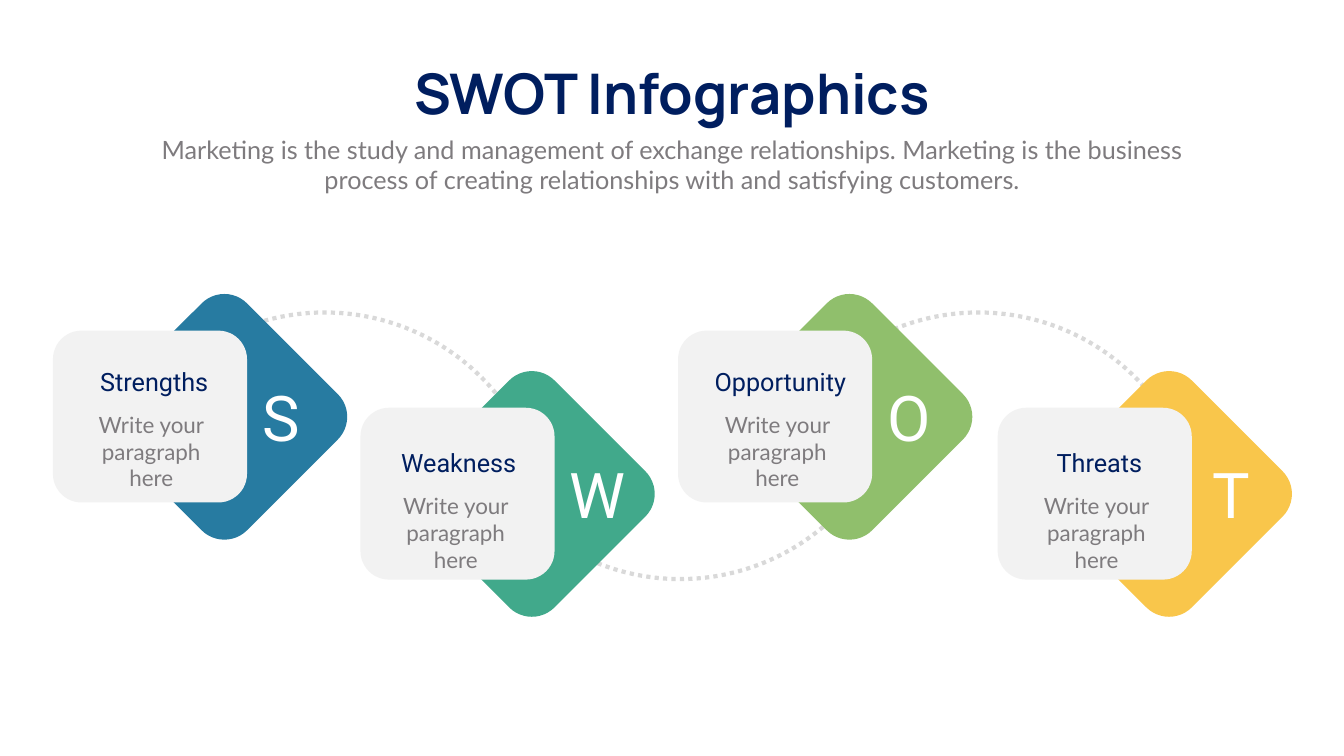
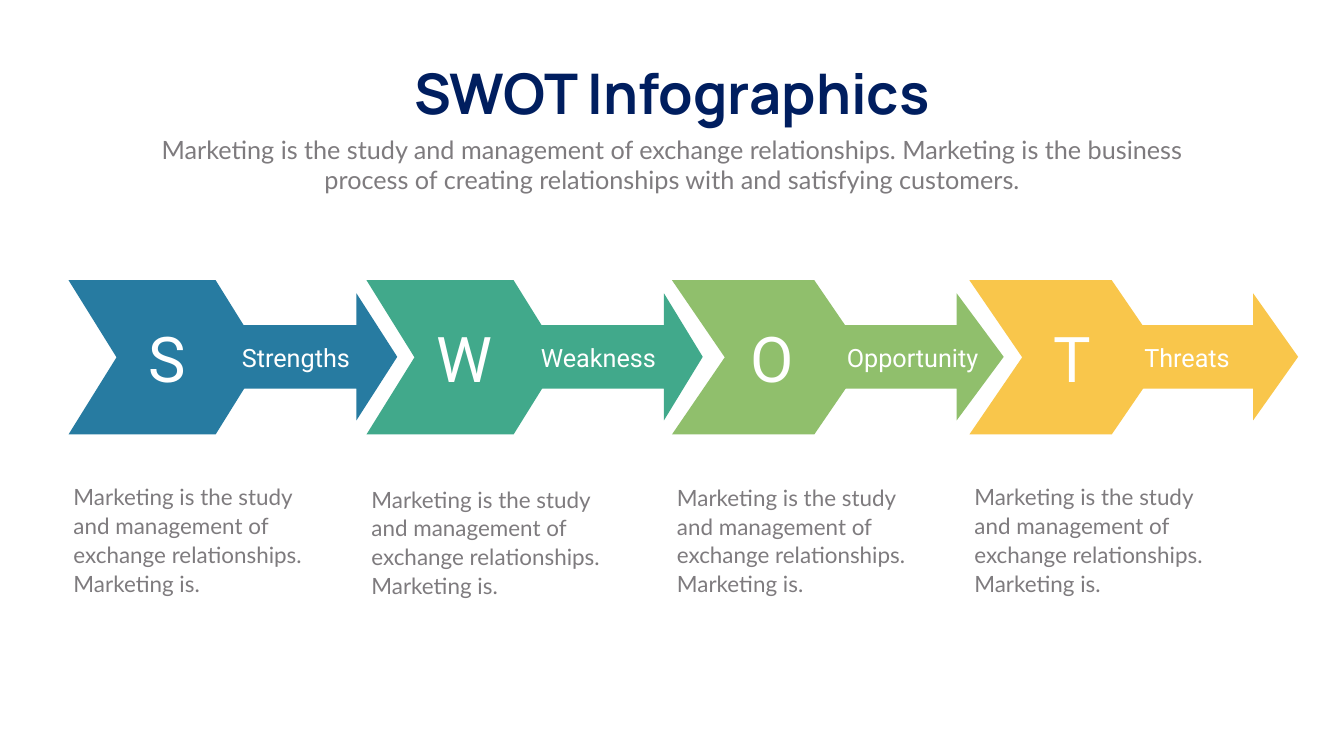
"""Build two SWOT infographic slides."""
from pptx import Presentation
from pptx import util as u
from pptx.dml import color
from pptx.enum import dml, shapes, text

COLS, ROWS = 26.66, 15
NAVY, GREY, WHITE = "001E5F", "7E7B7E", "FFFFFF"
PALE, DOTS = "F2F2F2", "D9D9D9"
KIND = shapes.MSO_SHAPE
ALIGN = text.PP_ALIGN
INTRO = ("Marketing is the study and management of exchange relationships. "
         "Marketing is the business process of creating relationships "
         "with and satisfying customers.")
NOTE = ("Marketing is the study and management of exchange relationships. "
        "Marketing is.")
PARTS = [("S", "Strengths", "277BA1"), ("W", "Weakness", "41A98B"),
         ("O", "Opportunity", "90BF6C"), ("T", "Threats", "F9C64B")]
STYLES = {
    "title": dict(name="Manrope", size=u.Pt(80), bold=True),
    "intro": dict(name="Lato", size=u.Pt(36)),
    "body": dict(name="Lato", size=u.Pt(32)),
    "label": dict(name="Roboto", size=u.Pt(36)),
    "letter": dict(name="Roboto", size=u.Pt(90)),
}
# Card column and row, text column and row, letter column.
CARDS = [(1.05, 6.56, 1.43, 7.21, 4.85), (7.15, 8.09, 7.47, 8.82, 11.13),
         (13.45, 6.56, 13.85, 7.21, 17.3), (19.79, 8.09, 20.18, 8.82, 23.7)]
# Arc column and row, turn, start of the sweep.
ARCS = [(15.01, 6.2, 324.1, 170.15), (9.09, 2.69, 136.1, 159.04),
        (2.04, 6.2, 324.1, 170.15)]
# Step column, notch, arrow column, head, letter column, label column, note row.
STEPS = [(1.36, 0.311, 3.3, 0.321, 2.59, 4.7, 9.51),
         (7.27, 0.311, 9.36, 0.305, 8.49, 10.63, 9.55),
         (13.33, 0.342, 15.33, 0.37, 14.59, 16.7, 9.52),
         (19.23, 0.342, 21.17, 0.354, 20.55, 22.6, 9.51)]


def rgb(code):
    """Turn a hex string into a colour."""
    return color.RGBColor.from_string(code)


def place(*cells):
    """Turn columns and rows into slide lengths."""
    return [u.Inches(cell) for cell in cells]


def form(slide, kind, spot, fill=None, turn=0, bends=()):
    """Add a flat preset shape without an outline."""
    item = slide.shapes.add_shape(kind, *place(*spot))
    item.shadow.inherit = False
    item.rotation = turn
    for i, bend in enumerate(bends):
        item.adjustments[i] = bend
    if fill:
        item.fill.solid()
        item.fill.fore_color.rgb = rgb(fill)
    else:
        item.fill.background()
    item.line.fill.background()
    return item


def arc(slide, col, row, turn, start):
    """Add a dotted arc that links two cards."""
    item = form(slide, KIND.ARC, (col, row, 8.8, 8.8), None, turn, (start, 0))
    item.line.color.rgb = rgb(DOTS)
    item.line.width = u.Pt(6)
    item.line.dash_style = dml.MSO_LINE.ROUND_DOT


def write(slide, words, spot, style, ink, align=ALIGN.CENTER, wrap=True, gap=None):
    """Add a text box in one of the shared styles."""
    frame = slide.shapes.add_textbox(*place(*spot)).text_frame
    frame.word_wrap = wrap
    frame.auto_size = text.MSO_AUTO_SIZE.SHAPE_TO_FIT_TEXT
    para = frame.paragraphs[0]
    para.alignment = align
    if gap:
        para.line_spacing = u.Pt(gap)
    run = para.add_run()
    run.text = words
    for key, value in STYLES[style].items():
        setattr(run.font, key, value)
    run.font.color.rgb = rgb(ink)


def head(slide):
    """Add the title and intro that both slides share."""
    write(slide, "SWOT Infographics", (7.72, 1.12, 11.22, 1.45), "title", NAVY,
          wrap=False)
    write(slide, INTRO, (2.92, 2.61, 20.82, 1.31), "intro", GREY)


def letter(slide, sign, col, row):
    """Add the large initial of a part."""
    write(slide, sign, (col, row, 1.45, 1.62), "letter", WHITE)


def cards(slide):
    """Draw the cards on diamonds, joined by arcs."""
    for spot in ARCS:
        arc(slide, *spot)
    head(slide)
    for (_, _, hue), (col, row, *_) in zip(PARTS, CARDS):
        form(slide, KIND.ROUNDED_RECTANGLE,
             (col + 1.49, row - 0.2, 3.82, 3.82), hue, 315)
        form(slide, KIND.ROUNDED_RECTANGLE, (col, row, 3.85, 3.41), PALE)
    for (sign, name, _), (_, row, col, top, side) in zip(PARTS, CARDS):
        write(slide, "Write your paragraph here", (col, top + 0.89, 3.14, 1.18),
              "body", GREY)
        write(slide, name, (col, top, 3.26, 0.71), "label", NAVY)
        letter(slide, sign, side, row + 0.9)


def steps(slide):
    """Draw the row of chevrons and arrows with notes below."""
    head(slide)
    for (_, _, hue), (col, notch, shaft, tip, *_) in zip(PARTS, STEPS):
        form(slide, KIND.CHEVRON, (col, 5.56, 3.87, 3.06), hue, bends=(notch,))
        form(slide, KIND.RIGHT_ARROW, (shaft, 5.82, 4.58, 2.52), hue,
             bends=(0.5, tip))
    for (sign, name, _), (col, _, _, _, side, tag, row) in zip(PARTS, STEPS):
        letter(slide, sign, side, 6.29)
        write(slide, name, (tag, 6.74, 3.26, 0.71), "label", WHITE, ALIGN.LEFT)
        write(slide, NOTE, (col, row, 4.83, 2.35), "body", GREY, ALIGN.LEFT, gap=41)


def main():
    """Build both slides and save the deck."""
    deck = Presentation()
    deck.slide_width, deck.slide_height = place(COLS, ROWS)
    for draw in (cards, steps):
        draw(deck.slides.add_slide(deck.slide_layouts[6]))
    deck.save("out.pptx")


if __name__ == "__main__":
    main()
